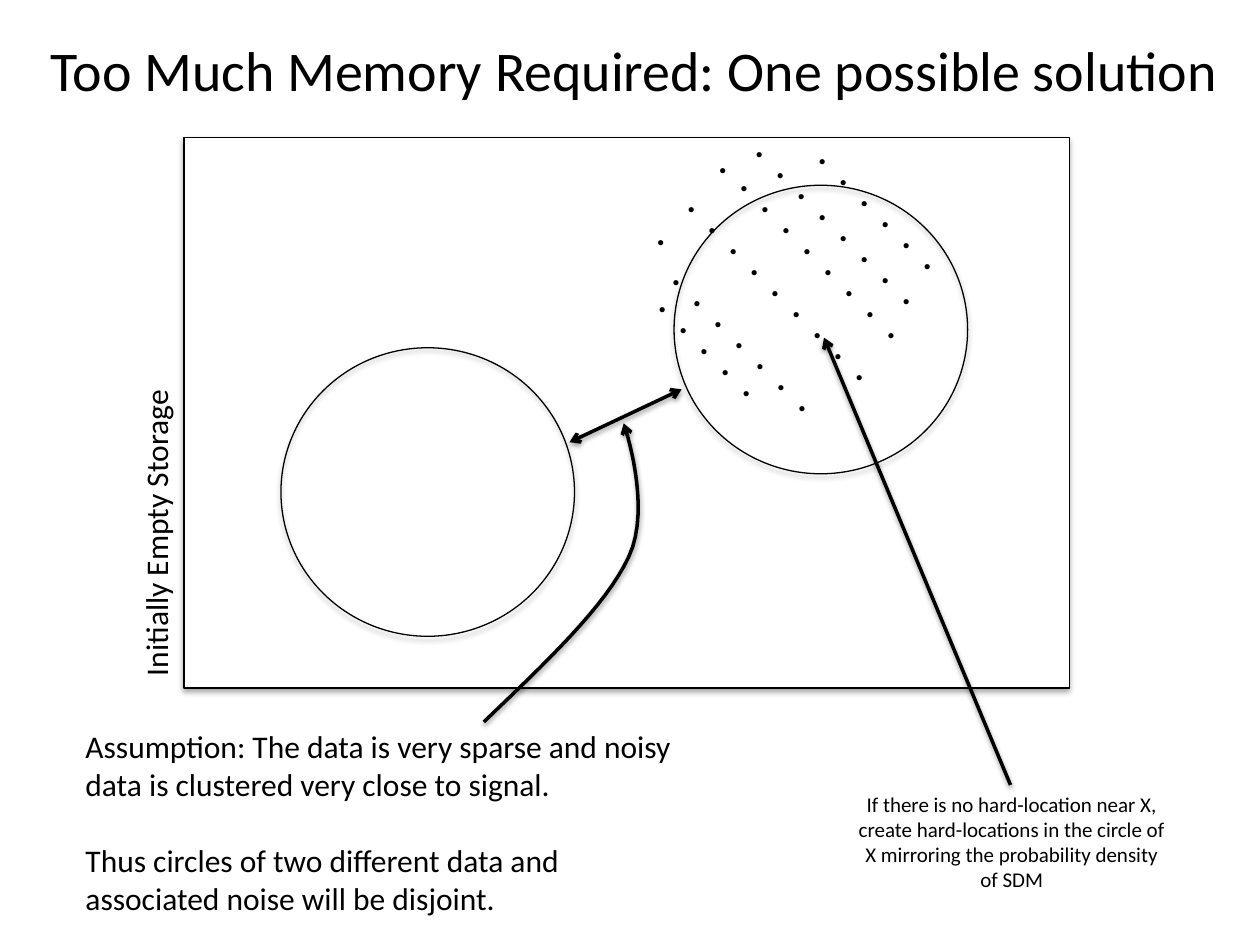
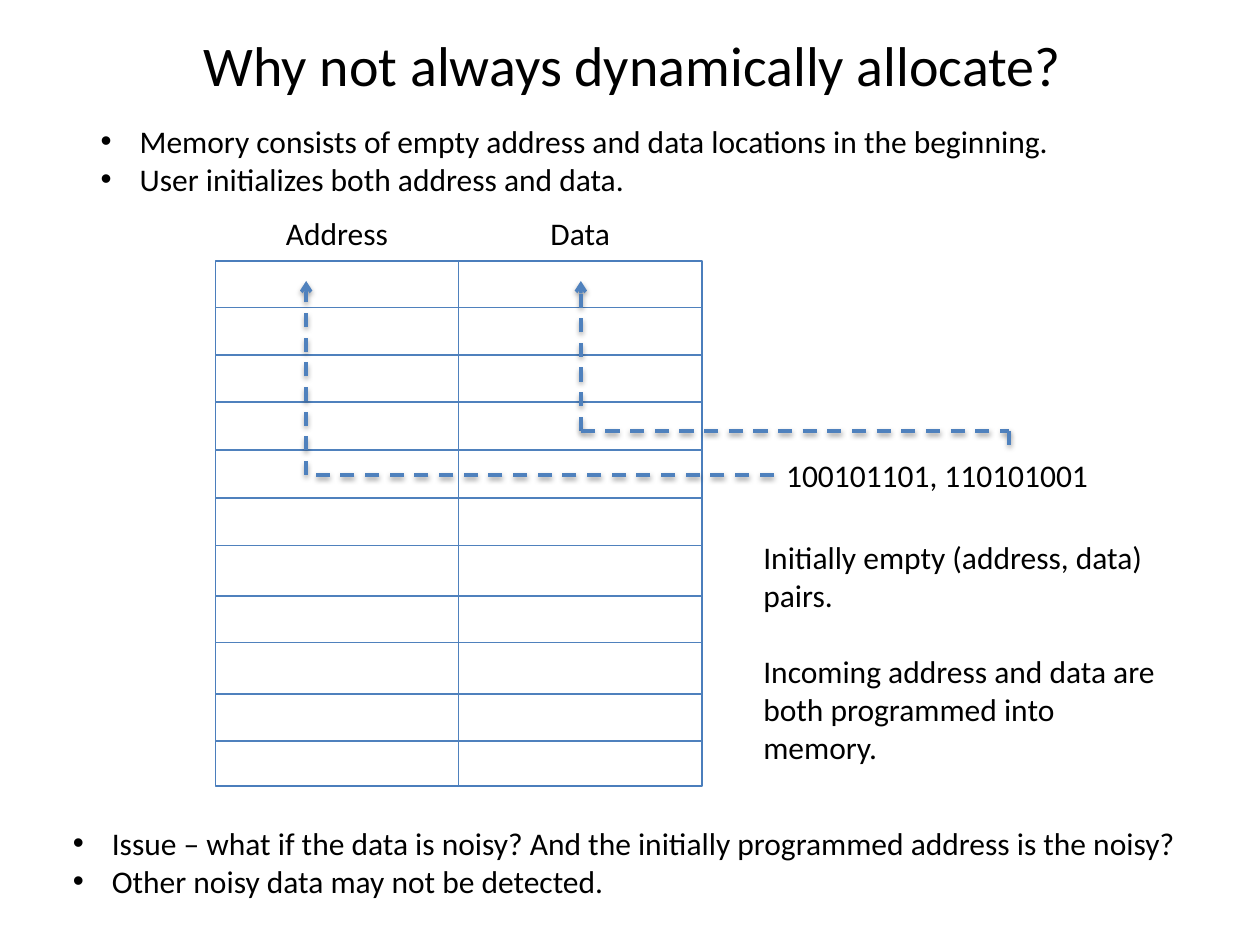
from dataclasses import dataclass
from typing import Any

from lxml import etree
from pptx import Presentation
from pptx.dml.color import RGBColor
from pptx.enum.dml import MSO_LINE
from pptx.enum.shapes import MSO_CONNECTOR, MSO_SHAPE
from pptx.enum.text import MSO_AUTO_SIZE, PP_ALIGN
from pptx.oxml.ns import qn
from pptx.util import Cm, Pt

RECT, OVAL = MSO_SHAPE.RECTANGLE, MSO_SHAPE.OVAL
STRAIGHT = MSO_CONNECTOR.STRAIGHT
DASH = MSO_LINE.DASH
LEFT, CENTER = PP_ALIGN.LEFT, PP_ALIGN.CENTER
GROW = MSO_AUTO_SIZE.SHAPE_TO_FIT_TEXT

COLORS = {"ink": "000000", "paper": "FFFFFF", "blue": "4F81BD", "frame": "4B7EBC"}
FONT = "Calibri"
TITLE_SIZE, BODY_SIZE, NOTE_SIZE, DOT_SIZE = 32, 18, 12, 20
BLANK_LINE = 22
DOT_STEP = 1 / 6

Point = tuple[float, float]
Box = tuple[float, float, float, float]


@dataclass
class Text:
    box: Box
    paras: list[str]
    size: int = BODY_SIZE
    align: Any = LEFT
    bold: bool = False
    bullet: bool = False
    gap: int = 0
    rotation: int = 0


@dataclass
class Outline:
    kind: Any
    box: Box
    fill: str = ""
    color: str = "ink"
    width: float = 0.75
    shadow: bool = True


@dataclass
class Link:
    start: Point
    end: Point
    color: str = "ink"
    width: float = 2
    head: str = ""
    tail: str = ""
    dash: Any = None
    shadow: bool = True


@dataclass
class DotChain:
    x: float
    y: float
    count: int


def inch(v: float) -> Cm:
    return Cm(v * 2.54)


def rgb(name: str) -> RGBColor:
    return RGBColor.from_string(COLORS[name])


def set_all(obj: Any, values: dict[str, Any]) -> None:
    for key, value in values.items():
        setattr(obj, key, value)


def child(parent: Any, tag: str, **attrs: Any) -> Any:
    return etree.SubElement(parent, qn(tag), {k: str(v) for k, v in attrs.items()})


def set_shadow(sp: Any, visible: bool, opacity: int, drop: float) -> None:
    effects = child(sp._element.spPr, "a:effectLst")
    if visible:
        shadow = child(effects, "a:outerShdw", blurRad=Pt(3.1), dist=Pt(drop),
                       dir=5400000, rotWithShape=0)
        color = child(shadow, "a:srgbClr", val=COLORS["ink"])
        child(color, "a:alpha", val=opacity * 1000)


def style_stroke(sp: Any, k: Link) -> None:
    sp.line.color.rgb = rgb(k.color)
    set_all(sp.line, {"width": Pt(k.width), "dash_style": k.dash})
    ln = sp.line._get_or_add_ln()
    for tag, kind in (("a:headEnd", k.head), ("a:tailEnd", k.tail)):
        if kind:
            child(ln, tag, type=kind)
    set_shadow(sp, k.shadow, 38, 1.6)


def add_text(s: Any, t: Text) -> None:
    sp = s.shapes.add_textbox(*map(inch, t.box))
    sp.rotation = t.rotation
    tf = sp.text_frame
    set_all(tf, {"word_wrap": True, "auto_size": GROW})
    for i, words in enumerate(t.paras):
        p = tf.add_paragraph() if i else tf.paragraphs[0]
        set_all(p, {"alignment": t.align, "space_before": Pt(t.gap if i else 0)})
        if t.bullet:
            pPr = p._p.get_or_add_pPr()
            pPr.set("marL", str(inch(0.31)))
            pPr.set("indent", str(-inch(0.31)))
            child(pPr, "a:buFont", typeface="Arial")
            child(pPr, "a:buChar", char="•")
        r = p.add_run()
        r.text = words
        set_all(r.font, {"name": FONT, "size": Pt(t.size), "bold": t.bold})
        r.font.color.rgb = rgb("ink")


def add_title(s: Any, box: Box, words: str, align: Any) -> None:
    add_text(s, Text(box, [words], TITLE_SIZE, align))


def add_outline(s: Any, o: Outline) -> None:
    sp = s.shapes.add_shape(o.kind, *map(inch, o.box))
    if o.fill:
        sp.fill.solid()
        sp.fill.fore_color.rgb = rgb(o.fill)
    else:
        sp.fill.background()
    sp.line.color.rgb = rgb(o.color)
    sp.line.width = Pt(o.width)
    set_shadow(sp, o.shadow, 35, 1.8)


def add_link(s: Any, k: Link) -> None:
    sp = s.shapes.add_connector(STRAIGHT, *map(inch, k.start + k.end))
    style_stroke(sp, k)


def bezier(pts: list[Point], t: float) -> Point:
    weights = ((1 - t) ** 3, 3 * t * (1 - t) ** 2, 3 * t * t * (1 - t), t ** 3)
    x, y = (sum(w * pt[axis] for w, pt in zip(weights, pts)) for axis in (0, 1))
    return inch(x), inch(y)


def add_curve(s: Any, curves: list[list[Point]], steps: int = 16) -> None:
    points = [bezier(c, n / steps) for c in curves for n in range(1, steps + 1)]
    builder = s.shapes.build_freeform(*bezier(curves[0], 0))
    builder.add_line_segments(points, close=False)
    sp = builder.convert_to_shape()
    sp.fill.background()
    style_stroke(sp, Link(curves[0][0], curves[-1][-1], tail="arrow"))


def add_dots(s: Any, chain: DotChain) -> None:
    for n in range(chain.count):
        x, y = chain.x + n * DOT_STEP, chain.y + n * DOT_STEP
        add_text(s, Text((x, y, 0.25, 0.44), ["."], DOT_SIZE, bold=True))


def add_memory_grid(s: Any, box: Box, middle: float, row_lines: list[float]) -> None:
    left, top, width, height = box
    add_outline(s, Outline(RECT, box, color="frame", width=1, shadow=False))
    ends = [((middle, top), (middle, top + height))]
    ends += [((left, y), (left + width, y)) for y in row_lines]
    for start, end in ends:
        add_link(s, Link(start, end, "blue", 1, shadow=False))


def build_solution(s: Any) -> None:
    add_outline(s, Outline(RECT, (1.46, 1.09, 7.03, 4.37), "paper"))
    add_text(s, Text((-0.66, 3.37, 3.79, 0.4), ["Initially Empty Storage"],
                     rotation=270))
    add_link(s, Link((8.02, 6.23), (6.54, 2.68), tail="arrow"))
    for x, y in ((5.35, 1.47), (2.23, 2.76)):
        add_outline(s, Outline(OVAL, (x, y, 2.33, 2.29)))
    for chain in (
        DotChain(5.6, 1.05, 1), DotChain(5.77, 1.19, 8), DotChain(5.89, 0.92, 8),
        DotChain(5.35, 1.36, 9), DotChain(5.23, 1.94, 7), DotChain(5.11, 1.62, 1),
        DotChain(6.39, 0.98, 6), DotChain(5.12, 2.15, 5),
    ):
        add_dots(s, chain)
    add_text(s, Text(
        (6.7, 6.23, 2.66, 0.91),
        ["If there is no hard-location near X, create hard-locations in the "
         "circle of X mirroring the probability density of SDM"],
        NOTE_SIZE, CENTER))
    add_text(s, Text(
        (0.58, 5.72, 5.07, 1.62),
        ["Assumption: The data is very sparse and noisy data is clustered very "
         "close to signal.",
         "Thus circles of two different data and associated noise will be "
         "disjoint."],
        gap=BLANK_LINE))
    add_link(s, Link((5.41, 3.09), (4.52, 3.51), head="arrow", tail="arrow"))
    add_curve(s, [
        [(3.84, 5.73), (4.32, 5.27), (4.81, 4.81), (4.99, 4.42)],
        [(4.99, 4.42), (5.18, 4.02), (4.95, 3.36), (4.95, 3.36)],
    ])
    add_title(s, (0.3, 0.23, 9.56, 0.64),
              "Too Much Memory Required: One possible solution", LEFT)


def build_allocation(s: Any) -> None:
    left, col_width = 1.71, 1.93
    add_memory_grid(
        s, (left, 2.07, 2 * col_width, 4.17), left + col_width,
        [2.44, 2.82, 3.19, 3.57, 3.95, 4.33, 4.73, 5.1, 5.51, 5.88])
    for n, name in enumerate(("Address", "Data")):
        add_text(s, Text((left + n * col_width, 1.65, col_width, 0.4), [name],
                         align=CENTER))
    add_text(s, Text((6.14, 3.57, 2.65, 0.4), ["100101101, 110101001"]))
    for start, end, tail in (
        ((6.14, 3.77), (2.43, 3.77), ""),
        ((2.43, 3.77), (2.43, 2.23), "arrow"),
        ((4.61, 3.42), (4.61, 2.23), "arrow"),
        ((4.61, 3.42), (8.01, 3.42), ""),
        ((8.01, 3.42), (8.01, 3.57), ""),
    ):
        add_link(s, Link(start, end, "blue", tail=tail, dash=DASH))
    add_text(s, Text(
        (5.96, 4.22, 3.31, 1.92),
        ["Initially empty (address, data) pairs.",
         "Incoming address and data are both programmed into memory."],
        gap=BLANK_LINE))
    add_title(s, (0.22, 0.19, 9.6, 0.64),
              "Why not always dynamically allocate?", CENTER)
    add_text(s, Text(
        (0.7, 0.92, 8.69, 0.71),
        ["Memory consists of empty address and data locations in the beginning.",
         "User initializes both address and data."],
        bullet=True))
    add_text(s, Text(
        (0.48, 6.49, 9.27, 0.71),
        ["Issue – what if the data is noisy? And the initially programmed "
         "address is the noisy?",
         "Other noisy data may not be detected."],
        bullet=True))


def main() -> None:
    prs = Presentation()
    set_all(prs, {"slide_width": Cm(25.4), "slide_height": Cm(19.05)})
    for build in (build_solution, build_allocation):
        build(prs.slides.add_slide(prs.slide_layouts[6]))
    prs.save("out.pptx")


main()
